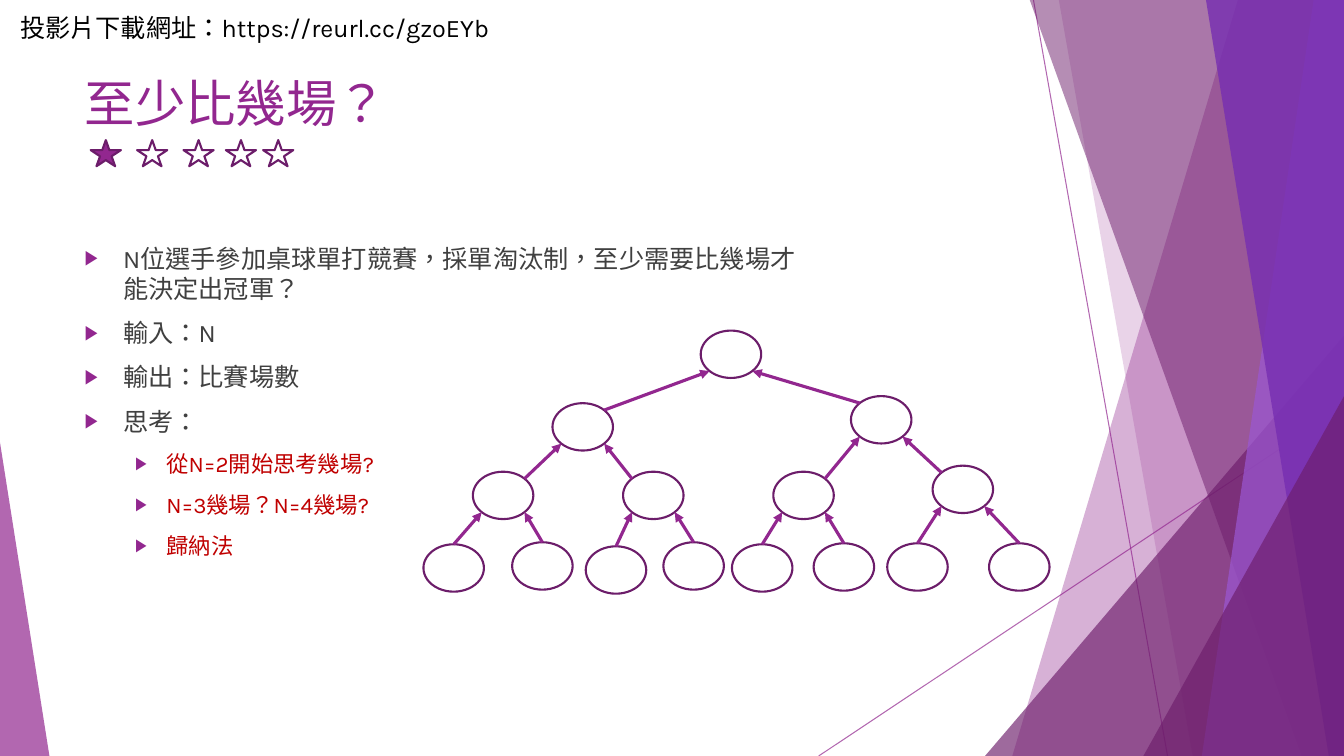
from dataclasses import dataclass
from math import sqrt

from lxml import etree
from pptx import Presentation
from pptx.dml.color import RGBColor
from pptx.enum.lang import MSO_LANGUAGE_ID as Language
from pptx.enum.shapes import MSO_CONNECTOR as Connector, MSO_SHAPE as Shape
from pptx.enum.text import MSO_ANCHOR as Anchor, MSO_AUTO_SIZE as AutoSize, PP_ALIGN as Align
from pptx.oxml.ns import qn
from pptx.util import Inches, Pt


@dataclass(frozen=True)
class Theme:
    font: str = "Karla"
    black: str = "000000"
    white: str = "FFFFFF"
    text: str = "404040"
    hint: str = "C00000"
    accent: str = "92278F"
    outline: str = "6C1D6A"
    dark: str = "6D1D6B"
    violet: str = "9B57D3"
    indigo: str = "762EB1"
    title_size: int = 36
    body_size: int = 18
    hint_size: int = 16
    paragraph_gap: int = 10
    hairline: float = 0.75
    outline_width: float = 1.5
    arrow_width: float = 2.25


THEME = Theme()
WIDTH, HEIGHT = 13.33, 7.5
NODE_WIDTH, NODE_HEIGHT = 0.6, 0.47

# Facets: top-left x, bottom-left x, colour, opacity; each reaches the right edge.
BACK_FACETS = [(12.28, 10.04, THEME.accent, 36), (10.5, 11.83, THEME.accent, 20)]
FRONT_FACETS = [
    (10.21, 12.91, THEME.dark, 50),
    (13.03, 11.92, THEME.violet, 70),
    (11.96, 13.18, THEME.indigo, 80),
]

# Left and top of each match node, level by level: children of i are 2i+1 and 2i+2.
NODES = [
    (6.95, 3.28),
    (5.48, 4), (8.44, 3.93),
    (4.69, 4.68), (6.18, 4.68), (7.67, 4.68), (9.25, 4.62),
    (4.2, 5.4), (5.08, 5.38), (5.81, 5.42), (6.58, 5.38),
    (7.26, 5.4), (8.07, 5.39), (8.8, 5.39), (9.81, 5.39),
]
FIRST_LEAF = len(NODES) // 2

STAR_LEFTS = [0.9, 1.36, 1.82, 2.24, 2.61]

QUESTIONS = [
    "N位選手參加桌球單打競賽，採單淘汰制，至少需要比幾場才能決定出冠軍？",
    "輸入：N",
    "輸出：比賽場數",
    "思考：",
]
HINTS = ["從N=2開始思考幾場?", "N=3幾場？N=4幾場?", "歸納法"]


def write(paragraph, text, *, size, color):
    run = paragraph.add_run()
    run.text = text
    run.font.name = THEME.font
    run.font.size = Pt(size)
    run.font.color.rgb = RGBColor.from_string(color)
    run.font.language_id = Language.TRADITIONAL_CHINESE


def set_opacity(fill_parent, percent):
    color = fill_parent.find(qn("a:solidFill"))[0]
    etree.SubElement(color, qn("a:alpha")).set("val", str(percent * 1000))


def add_bullet(paragraph, indent, hanging):
    properties = paragraph._p.get_or_add_pPr()
    properties.set("marL", str(Inches(indent)))
    properties.set("indent", str(-Inches(hanging)))
    color = etree.SubElement(properties, qn("a:buClr"))
    etree.SubElement(color, qn("a:srgbClr")).set("val", THEME.accent)
    etree.SubElement(properties, qn("a:buSzPct")).set("val", "80000")
    etree.SubElement(properties, qn("a:buChar")).set("char", "▶")


def diagonal_point(node, side_x, side_y):
    """Point on a node's outline at 45 degrees; sides are -1 or 1."""
    left, top = node
    return (left + NODE_WIDTH / 2 * (1 + side_x / sqrt(2)),
            top + NODE_HEIGHT / 2 * (1 + side_y / sqrt(2)))


class SlideBuilder:
    def __init__(self, slide, theme):
        self.slide, self.theme = slide, theme

    def paint(self, shape, fill=None, line=None, opacity=None):
        shape.shadow.inherit = False
        if fill:
            shape.fill.solid()
            shape.fill.fore_color.rgb = RGBColor.from_string(fill)
            if opacity:
                set_opacity(shape._element.spPr, opacity)
        else:
            shape.fill.background()
        if line:
            shape.line.color.rgb = RGBColor.from_string(line)
            shape.line.width = Pt(self.theme.outline_width)
        else:
            shape.line.fill.background()
        return shape

    def shape(self, kind, left, top, width, height, adjust=None, **style):
        shape = self.slide.shapes.add_shape(
            kind, Inches(left), Inches(top), Inches(width), Inches(height))
        if adjust is not None:
            shape.adjustments[0] = adjust
        return self.paint(shape, **style)

    def facet(self, top_x, bottom_x, color, opacity):
        top = -0.01
        corners = [(WIDTH, top), (WIDTH, HEIGHT), (bottom_x, HEIGHT)]
        outline = self.slide.shapes.build_freeform(Inches(top_x), Inches(top))
        outline.add_line_segments([(Inches(x), Inches(y)) for x, y in corners], close=True)
        self.paint(outline.convert_to_shape(), fill=color, opacity=opacity)

    def line(self, start, end, width, opacity=None, arrow=False):
        line = self.slide.shapes.add_connector(
            Connector.STRAIGHT, *(Inches(value) for value in (*start, *end)))
        line.line.color.rgb = RGBColor.from_string(self.theme.accent)
        line.line.width = Pt(width)
        outline = line.line._get_or_add_ln()
        if opacity:
            set_opacity(outline, opacity)
        if arrow:
            etree.SubElement(outline, qn("a:headEnd")).set("type", "triangle")
        etree.SubElement(line._element.spPr, qn("a:effectLst"))
        return line

    def placeholder(self, index, left, top, width, height):
        holder = self.slide.placeholders[index]
        holder.left, holder.top = Inches(left), Inches(top)
        holder.width, holder.height = Inches(width), Inches(height)
        frame = holder.text_frame
        frame.auto_size = AutoSize.NONE
        frame.vertical_anchor = Anchor.TOP
        return frame

    def title(self, text, *box):
        paragraph = self.placeholder(0, *box).paragraphs[0]
        paragraph.alignment = Align.LEFT
        write(paragraph, text, size=self.theme.title_size, color=self.theme.accent)

    def body(self, items, hints, *box):
        frame = self.placeholder(1, *box)
        for number, text in enumerate(items + hints):
            is_hint = number >= len(items)
            paragraph = frame.add_paragraph() if number else frame.paragraphs[0]
            paragraph.level = int(is_hint)
            paragraph.space_before = Pt(self.theme.paragraph_gap if number else 0)
            add_bullet(paragraph, *((0.81, 0.31) if is_hint else (0.38, 0.38)))
            write(paragraph, text,
                  size=self.theme.hint_size if is_hint else self.theme.body_size,
                  color=self.theme.hint if is_hint else self.theme.text)

    def label(self, text, left, top, width, height):
        box = self.slide.shapes.add_textbox(
            Inches(left), Inches(top), Inches(width), Inches(height))
        box.text_frame.word_wrap = False
        write(box.text_frame.paragraphs[0], text,
              size=self.theme.body_size, color=self.theme.black)

    def decoration(self):
        self.line((10.25, 0), (11.58, HEIGHT), self.theme.hairline, opacity=70)
        self.line((WIDTH, 4.03), (8.12, HEIGHT), self.theme.hairline, opacity=70)
        for facet in BACK_FACETS:
            self.facet(*facet)
        self.shape(Shape.ISOSCELES_TRIANGLE, 9.77, 3.33, 3.56, 4.17, adjust=1,
                   fill=self.theme.dark, opacity=66)
        for facet in FRONT_FACETS:
            self.facet(*facet)
        self.shape(Shape.ISOSCELES_TRIANGLE, 11.34, 3.93, 1.99, 3.57, adjust=1,
                   fill=self.theme.dark, opacity=66)
        self.shape(Shape.ISOSCELES_TRIANGLE, 0, 4.39, 0.49, 3.11, adjust=0,
                   fill=self.theme.accent, opacity=70)

    def tournament_tree(self):
        ovals = [self.shape(Shape.OVAL, *node, NODE_WIDTH, NODE_HEIGHT,
                            fill=self.theme.white, line=self.theme.outline) for node in NODES]
        for child in range(1, len(NODES)):
            side = -1 if child % 2 else 1
            arrow = self.line(diagonal_point(NODES[(child - 1) // 2], side, 1),
                              diagonal_point(NODES[child], -side, -1),
                              self.theme.arrow_width, arrow=True)
            if child >= FIRST_LEAF:
                arrow.end_connect(ovals[child], 0)

    def difficulty(self, level):
        for number, left in enumerate(STAR_LEFTS):
            self.shape(Shape.STAR_5_POINT, left, 1.39, 0.3, 0.26, line=self.theme.outline,
                       fill=self.theme.accent if number < level else None)


def main():
    presentation = Presentation()
    presentation.slide_width, presentation.slide_height = Inches(WIDTH), Inches(HEIGHT)
    builder = SlideBuilder(presentation.slides.add_slide(presentation.slide_layouts[1]), THEME)
    builder.decoration()
    builder.label("投影片下載網址：https://reurl.cc/gzoEYb", 0.1, 0.07, 4.98, 0.4)
    builder.title("至少比幾場？", 0.74, 0.67, 9.4, 1.44)
    builder.body(QUESTIONS, HINTS, 0.74, 2.36, 7.45, 4.24)
    builder.tournament_tree()
    builder.difficulty(level=1)
    presentation.save("out.pptx")


if __name__ == "__main__":
    main()
